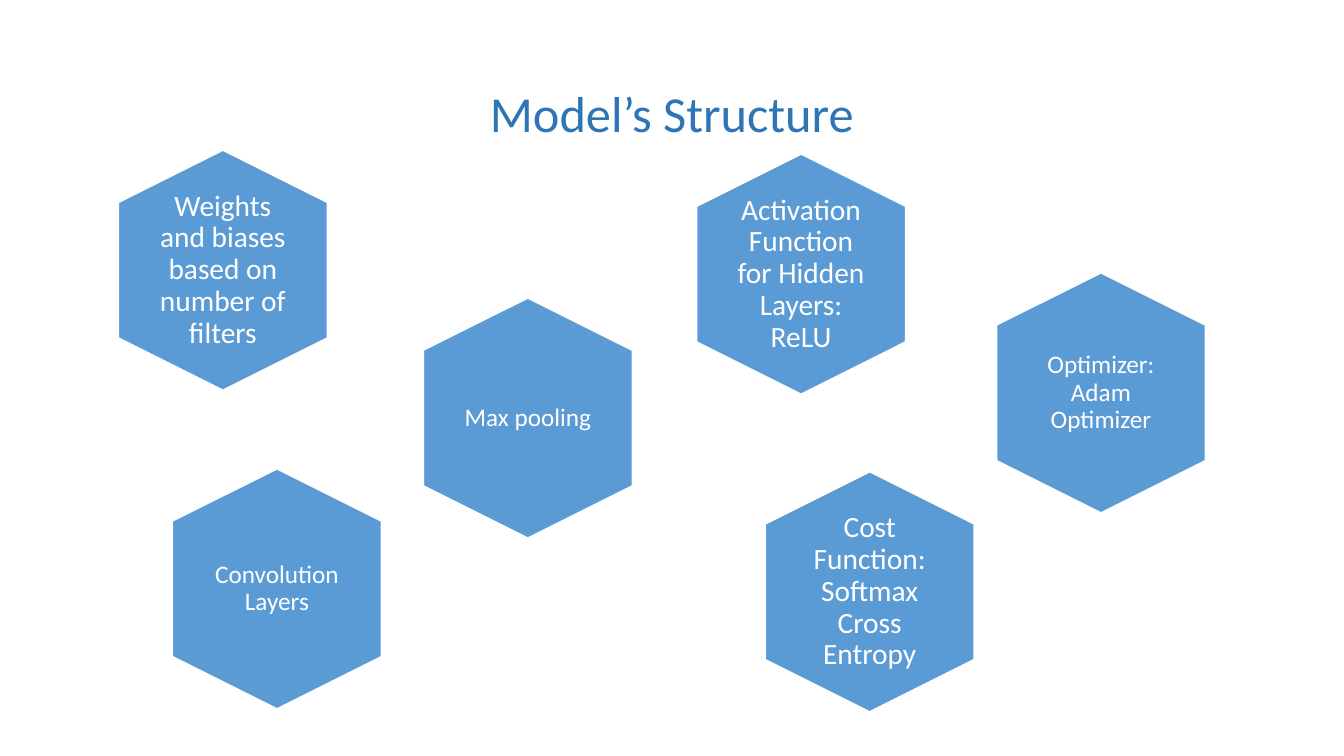
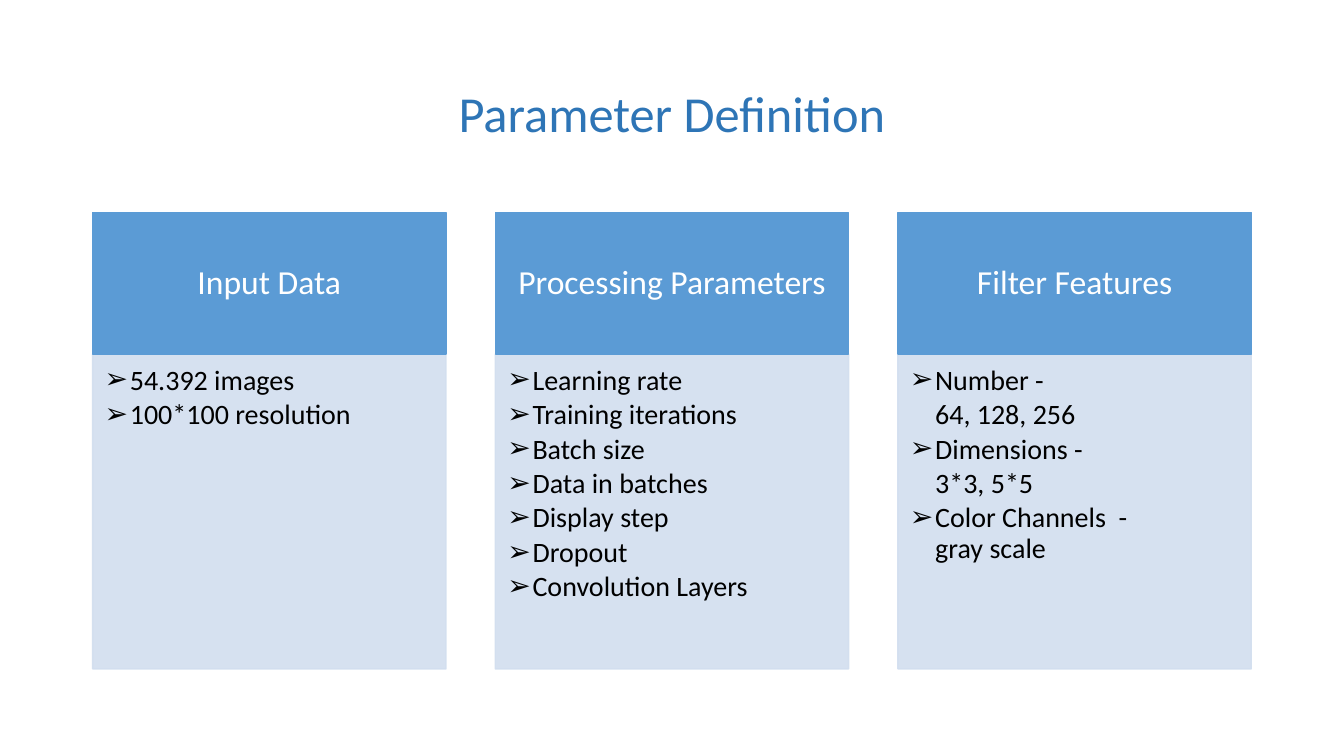
from dataclasses import dataclass

from lxml.etree import SubElement
from pptx import Presentation
from pptx.dml.color import RGBColor
from pptx.enum.shapes import MSO_SHAPE as Shape
from pptx.enum.text import MSO_ANCHOR as Anchor, MSO_AUTO_SIZE as AutoSize, PP_ALIGN as Align
from pptx.oxml.ns import qn
from pptx.util import Pt


@dataclass(frozen=True)
class Theme:
    """Colours, font and type sizes of the deck."""
    font: str = "Calibri"
    bullet_font: str = "Arial"
    title_color: str = "2E75B6"
    accent: str = "5B9BD5"
    panel: str = "D2DEEF"
    white: str = "FFFFFF"
    black: str = "000000"
    title_size: int = 36
    heading_size: int = 24
    large_size: int = 21
    list_size: int = 20
    label_size: int = 18


THEME = Theme()
COMPARISON, TITLE_ONLY = 4, 5
BULLET = "➢"


def write(box, lines, *, size, color, align=Align.CENTER, anchor=Anchor.MIDDLE,
          insets=(7.2, 3.6, 7.2, 3.6), after=0):
    """Fill a shape with one paragraph per line and return the paragraphs."""
    frame = box.text_frame
    frame.word_wrap = True
    frame.auto_size = AutoSize.NONE
    frame.vertical_anchor = anchor
    (frame.margin_left, frame.margin_top,
     frame.margin_right, frame.margin_bottom) = map(Pt, insets)
    frame.text = "\n".join(lines)
    for para in frame.paragraphs:
        para.alignment = align
        para.line_spacing = 0.9
        para.space_before = Pt(0)
        para.space_after = Pt(after)
        for span in para.runs:
            span.font.name = THEME.font
            span.font.size = Pt(size)
            span.font.bold = False
            span.font.color.rgb = RGBColor.from_string(color)
    return frame.paragraphs


def place(box, left, top, width, height):
    """Move and size a shape."""
    box.left, box.top, box.width, box.height = map(Pt, (left, top, width, height))


def paint(box, fill, line, opacity=100):
    """Give a shape a fill and a thin outline of the same opacity."""
    box.fill.solid()
    box.fill.fore_color.rgb = RGBColor.from_string(fill)
    box.line.width = Pt(1)
    box.line.color.rgb = RGBColor.from_string(line)
    if opacity < 100:
        for color in box._element.spPr.iter(qn("a:srgbClr")):
            SubElement(color, qn("a:alpha"), val=str(opacity * 1000))


def set_bullet(para, bulleted, indent=18):
    """Indent a list paragraph, hanging it on a bullet if it has one."""
    props = para._p.get_or_add_pPr()
    props.set("marL", str(Pt(indent)))
    props.set("indent", str(-Pt(indent) if bulleted else 0))
    if bulleted:
        SubElement(props, qn("a:buFont"), typeface=THEME.bullet_font)
        SubElement(props, qn("a:buChar"), char=BULLET)
    else:
        SubElement(props, qn("a:buNone"))


class DeckBuilder:
    """Holds the deck and the slide being built."""

    def __init__(self):
        """Start a widescreen deck."""
        self.deck = Presentation()
        self.deck.slide_width, self.deck.slide_height = Pt(960), Pt(540)
        self.page = None

    def add_page(self, title, layout):
        """Add a slide with the shared title style."""
        self.page = self.deck.slides.add_slide(self.deck.slide_layouts[layout])
        heading = self.page.shapes.title
        place(heading, 66, 31, 828, 104.5)
        write(heading, [title], size=THEME.title_size, color=THEME.title_color)

    def shape(self, kind, left, top, width, height, fill, line):
        """Add a flat preset shape."""
        box = self.page.shapes.add_shape(kind, *map(Pt, (left, top, width, height)))
        box.shadow.inherit = False
        paint(box, fill, line)
        return box

    def hexagon(self, label, center_x, center_y, size, inset):
        """Add an upright hexagon with a level label around its centre."""
        width, height = 171.4, 149.2
        box = self.shape(Shape.HEXAGON, center_x - width / 2, center_y - height / 2,
                         width, height, THEME.accent, THEME.white)
        box.rotation = 90
        width, height = 103, 118
        text = self.page.shapes.add_textbox(
            *map(Pt, (center_x - width / 2, center_y - height / 2, width, height)))
        write(text, [label], size=size, color=THEME.white, insets=(inset,) * 4)

    def column(self, body, left, heading, items):
        """Add a heading band above a bulleted panel held by a placeholder."""
        top, width, band_height, panel_height = 152, 252.4, 100.8, 225
        band = self.shape(Shape.RECTANGLE, left, top, width, band_height,
                          THEME.accent, THEME.accent)
        write(band, [heading], size=THEME.heading_size, color=THEME.white,
              insets=(13.4, 7.7, 13.4, 7.7))
        place(body, left, top + band_height, width, panel_height)
        paint(body, THEME.panel, THEME.panel, opacity=90)
        paras = write(body, [text for text, _ in items], size=THEME.list_size,
                      color=THEME.black, align=Align.LEFT, anchor=Anchor.TOP,
                      insets=(8.6, 8.6, 11.5, 12), after=3)
        for para, (_, bulleted) in zip(paras, items):
            set_bullet(para, bulleted)

    def columns(self, contents, left=66.2, step=287.6):
        """Add evenly spaced columns and remove the spare placeholders."""
        bodies = [box for box in self.page.placeholders if box.placeholder_format.idx > 0]
        for index, (heading, items) in enumerate(contents):
            self.column(bodies[index], left + index * step, heading, items)
        for spare in bodies[len(contents):]:
            spare._element.getparent().remove(spare._element)


def bulleted(*texts):
    """Mark every text as a bulleted item."""
    return [(text, True) for text in texts]


def build_structure(builder):
    """Build the slide with the parts of the model."""
    builder.add_page("Model’s Structure", TITLE_ONLY)
    small = {"size": THEME.label_size, "inset": 5}
    large = {"size": THEME.large_size, "inset": 0}
    for label, center_x, center_y, style in (
        ("Convolution Layers", 197.8, 420.6, small),
        ("Weights and biases based on number of filters", 159.2, 193, large),
        ("Max pooling", 377, 298.6, small),
        ("Activation Function for Hidden Layers: ReLU", 572.2, 195.8, large),
        ("Optimizer: Adam Optimizer", 786.4, 280.6, small),
        ("Cost Function: Softmax Cross Entropy", 621.2, 422.7, large),
    ):
        builder.hexagon(label, center_x, center_y, **style)


def build_parameters(builder):
    """Build the slide with three columns of parameters."""
    builder.add_page("Parameter Definition", COMPARISON)
    builder.columns([
        ("Input Data", bulleted("54.392 images", "100*100 resolution")),
        ("Processing Parameters", bulleted(
            "Learning rate", "Training iterations", "Batch size", "Data in batches",
            "Display step", "Dropout", "Convolution Layers")),
        ("Filter Features", [
            ("Number -", True), ("64, 128, 256", False),
            ("Dimensions -", True), ("3*3, 5*5", False),
            ("Color Channels  -\vgray scale", True)]),
    ])


def main():
    """Build and save the deck."""
    builder = DeckBuilder()
    build_structure(builder)
    build_parameters(builder)
    builder.deck.save("out.pptx")


main()
